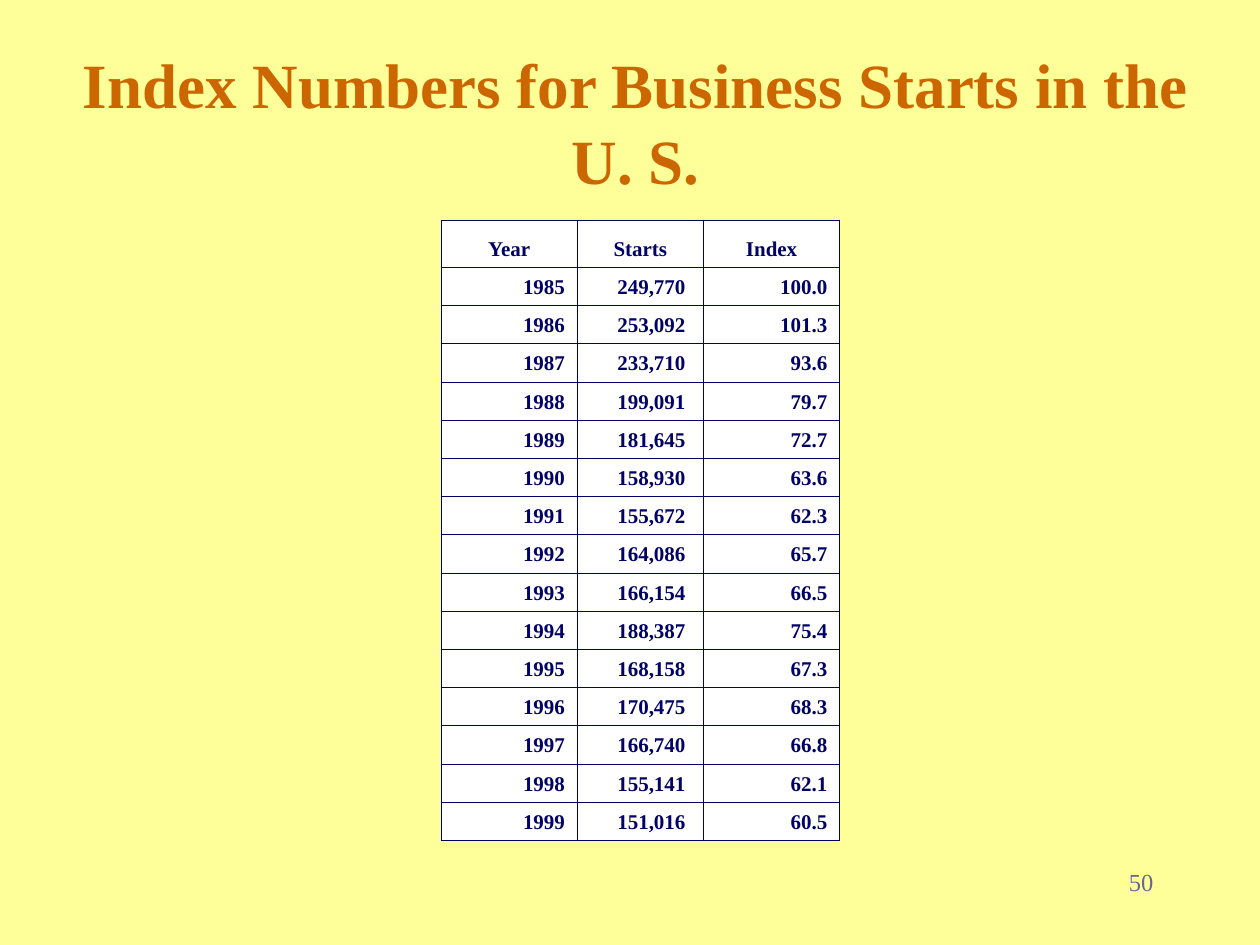
"""Build the slide with index numbers for business starts."""
from lxml.etree import SubElement
from pptx import Presentation
from pptx.dml.color import RGBColor
from pptx.enum.text import MSO_ANCHOR, MSO_AUTO_SIZE, PP_ALIGN
from pptx.oxml.ns import qn
from pptx.util import Cm, Pt

THEME = {
    "font": "Times New Roman",
    "back": "FFFF99",
    "cell": "FFFFFF",
    "line": "000066",
    "rule": Pt(0.45),
    "title": {"size": Pt(36), "bold": True, "color": "CC6600"},
    "table": {"size": Pt(12), "bold": True, "color": "000066"},
    "page": {"size": Pt(14), "bold": False, "color": "666699"},
}
STARTS = [249770, 253092, 233710, 199091, 181645, 158930, 155672, 164086,
          166154, 188387, 168158, 170475, 166740, 155141, 151016]
FIRST = 1985


def apply(item, values):
    for name, value in values.items():
        setattr(item, name, value)


def write(frame, text, style, align):
    part = frame.paragraphs[0]
    part.alignment = align
    run = part.add_run()
    run.text = text
    apply(run.font, {"name": THEME["font"], "size": style["size"], "bold": style["bold"]})
    run.font.color.rgb = RGBColor.from_string(style["color"])


deck = Presentation()
apply(deck, {"slide_width": Cm(25.4), "slide_height": Cm(19.05)})
slide = deck.slides.add_slide(deck.slide_layouts[5])
slide.background.fill.solid()
slide.background.fill.fore_color.rgb = RGBColor.from_string(THEME["back"])

title = slide.shapes.title
apply(title, {"left": Cm(1.06), "top": Cm(0.85), "width": Cm(23.5), "height": Cm(3.18)})
apply(title.text_frame, {"auto_size": MSO_AUTO_SIZE.NONE, "word_wrap": True,
                         "vertical_anchor": MSO_ANCHOR.MIDDLE})
write(title.text_frame, "Index Numbers for Business Starts in the U. S.",
      THEME["title"], PP_ALIGN.CENTER)

rows = [("Year", "Starts", "Index")]
for step, count in enumerate(STARTS):
    rows.append((str(FIRST + step), f"{count:,}", f"{100 * count / STARTS[0]:.1f}"))

table = slide.shapes.add_table(len(rows), 3, Cm(8.89), Cm(4.44), Cm(8.04), Cm(12.5)).table
apply(table, {"first_row": False, "horz_banding": False})
for col, width in zip(table.columns, (2.75, 2.54, 2.75)):
    col.width = Cm(width)
for top, row in enumerate(rows):
    table.rows[top].height = Cm(0.77 if top else 0.95)
    for left, text in enumerate(row):
        cell = table.cell(top, left)
        inset = Cm(0.36 if top and left == 1 else 0.25)
        apply(cell, {"vertical_anchor": MSO_ANCHOR.BOTTOM, "margin_left": Cm(0.25),
                     "margin_right": inset, "margin_top": Cm(0.13),
                     "margin_bottom": Cm(0.13)})
        props = cell._tc.get_or_add_tcPr()
        for side in ("lnL", "lnR", "lnT", "lnB"):
            edge = SubElement(props, qn(f"a:{side}"), w=str(THEME["rule"]))
            fill = SubElement(edge, qn("a:solidFill"))
            SubElement(fill, qn("a:srgbClr"), val=THEME["line"])
        cell.fill.solid()
        cell.fill.fore_color.rgb = RGBColor.from_string(THEME["cell"])
        write(cell.text_frame, text, THEME["table"],
              PP_ALIGN.RIGHT if top else PP_ALIGN.CENTER)

page = slide.shapes.add_textbox(Cm(21.38), Cm(17.36), Cm(2.12), Cm(1.27)).text_frame
page.word_wrap = True
write(page, "50", THEME["page"], PP_ALIGN.RIGHT)
page.paragraphs[0].space_before = Pt(8.8)

deck.save("out.pptx")
